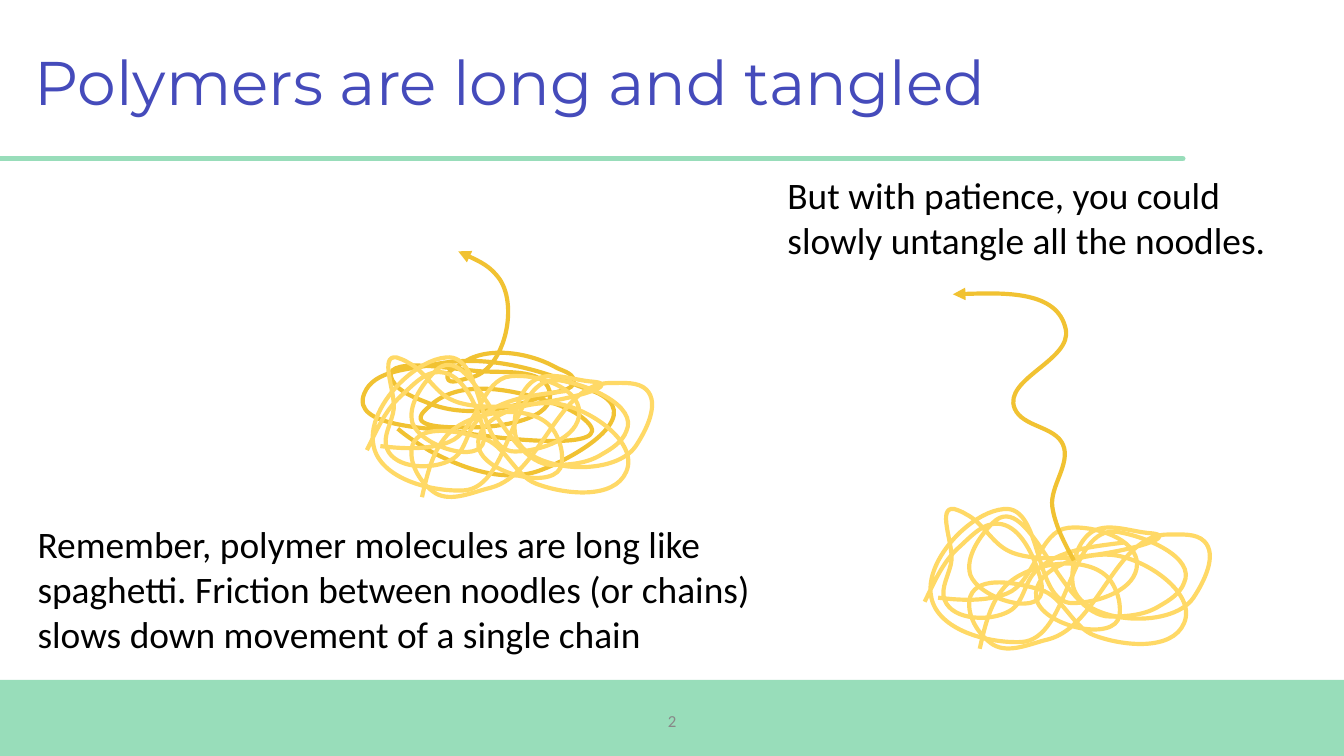
from itertools import pairwise

from lxml.etree import SubElement
from pptx import Presentation
from pptx.dml.color import RGBColor
from pptx.enum.shapes import MSO_CONNECTOR as Connector, MSO_SHAPE as Shape
from pptx.enum.text import MSO_ANCHOR as Anchor, MSO_AUTO_SIZE as AutoSize, PP_ALIGN as Align
from pptx.oxml.ns import qn
from pptx.util import Pt

GREEN = RGBColor(0x98, 0xDD, 0xBA)
INDIGO = RGBColor(0x45, 0x4B, 0xBB)
GREY = RGBColor(0x88, 0x88, 0x88)
BLACK = RGBColor(0x00, 0x00, 0x00)
GOLD = RGBColor(0xF1, 0xC2, 0x32)
PALE_GOLD = RGBColor(0xFF, 0xD9, 0x66)

PAGE_WIDTH, PAGE_HEIGHT = 720, 405
BAND_TOP = 364.3
RULE_Y = 85
TEXT_LEFT = 13
SECOND_PILE_SHIFT = (298.8, 81.2)
SMALL_MARGINS = (5.4, 2.7)

# Each strand lists only the knots it passes through, in curve units.
CURVE_UNIT = Pt(0.72)
TANGLED_CHAIN = [
    (341, 187), (372, 208), (350, 281), (333, 281), (343, 271), (413, 273), (427, 283),
    (406, 294), (319, 300), (292, 283), (354, 276), (409, 291), (351, 318), (314, 308),
    (321, 301), (403, 297), (437, 314), (345, 322), (271, 293), (324, 271), (430, 287),
    (453, 298), (399, 351), (319, 335), (296, 319),
]
FREED_CHAIN = [(709, 219), (793, 245), (755, 304), (791, 331), (783, 377), (799, 417)]
LEFT_NOODLE = [
    (273, 335), (298, 295), (328, 277), (356, 308), (360, 328), (307, 315), (324, 276),
    (411, 346), (448, 338), (466, 321), (416, 283), (345, 365), (278, 332), (302, 281),
    (332, 266), (383, 336), (431, 307), (380, 280), (334, 329), (283, 332),
]
RIGHT_NOODLE = [
    (314, 370), (338, 319), (413, 322), (418, 345), (356, 332), (410, 300), (466, 351),
    (399, 360), (359, 326), (307, 331), (324, 367), (365, 363), (455, 285), (481, 290),
    (473, 332), (383, 321), (396, 284), (441, 284), (335, 297), (304, 270), (295, 266),
    (293, 304), (288, 334), (336, 342), (356, 312), (421, 291),
]


def unit(vector):
    return vector / abs(vector)


def knot_directions(knots):
    """Give the heading at each knot; knots and headings are complex numbers.

    An inner knot follows the circle through it and its two neighbours.
    An end knot bends half as much, away from its neighbour's heading.
    """
    chords = [end - start for start, end in pairwise(knots)]
    inner = [unit(unit(before) * abs(after) + unit(after) * abs(before))
             for before, after in pairwise(chords)]
    first = unit(3 * unit(chords[0]) - inner[0])
    last = unit(3 * unit(chords[-1]) - inner[-1])
    return [first, *inner, last]


def smooth_points(knots):
    """Add two Bezier handles, a third of the chord long, between knots."""
    knots = [complex(x, y) for x, y in knots]
    points = [knots[0]]
    stops = zip(knots, knot_directions(knots))
    for (start, heading_out), (end, heading_in) in pairwise(stops):
        reach = abs(end - start) / 3
        points += [start + reach * heading_out, end - reach * heading_in, end]
    return [(point.real, point.imag) for point in points]


def bend_segments(curve):
    """Join each three straight segments of a freeform into one Bezier."""
    outline = next(curve.element.iter(qn("a:path")))
    segments = outline.findall(qn("a:lnTo"))
    for start in range(0, len(segments), 3):
        bezier = SubElement(outline, qn("a:cubicBezTo"))
        for segment in segments[start:start + 3]:
            bezier.append(segment[0])
            outline.remove(segment)


def add_strand(page, knots, color, *, shift=(0, 0), arrow=False):
    """Draw a smooth open curve, with an optional arrowhead at its start."""
    start, *rest = smooth_points(knots)
    builder = page.shapes.build_freeform(*start, scale=CURVE_UNIT)
    builder.add_line_segments(rest, close=False)
    strand = builder.convert_to_shape(Pt(shift[0]), Pt(shift[1]))
    bend_segments(strand)
    strand.shadow.inherit = False
    strand.fill.background()
    strand.line.color.rgb = color
    strand.line.width = Pt(2.25)
    if arrow:
        line = strand.element.spPr.find(qn("a:ln"))
        SubElement(line, qn("a:headEnd"), type="triangle")


def add_noodle_pile(page, shift=(0, 0)):
    for noodle in (LEFT_NOODLE, RIGHT_NOODLE):
        add_strand(page, noodle, PALE_GOLD, shift=shift)


def add_text(page, text, left, top, width, height, *, size=20, color=BLACK, font="Calibri",
             align=Align.LEFT, anchor=Anchor.TOP, margins=(7.2, 7.2),
             line_spacing=None, grow=False):
    box = page.shapes.add_textbox(Pt(left), Pt(top), Pt(width), Pt(height))
    frame = box.text_frame
    frame.word_wrap = True
    frame.auto_size = AutoSize.SHAPE_TO_FIT_TEXT if grow else AutoSize.NONE
    frame.vertical_anchor = anchor
    frame.margin_left = frame.margin_right = Pt(margins[0])
    frame.margin_top = frame.margin_bottom = Pt(margins[1])
    para = frame.paragraphs[0]
    para.alignment = align
    para.line_spacing = line_spacing
    span = para.add_run()
    span.text = text
    span.font.name = font
    span.font.size = Pt(size)
    span.font.color.rgb = color


def add_footer_band(page):
    band = page.shapes.add_shape(Shape.RECTANGLE, Pt(0), Pt(BAND_TOP),
                                 Pt(PAGE_WIDTH), Pt(PAGE_HEIGHT - BAND_TOP))
    band.shadow.inherit = False
    band.fill.solid()
    band.fill.fore_color.rgb = GREEN
    band.line.fill.background()


def add_title_rule(page):
    rule = page.shapes.add_connector(Connector.STRAIGHT, Pt(0), Pt(RULE_Y),
                                     Pt(633.6), Pt(RULE_Y))
    rule.line.color.rgb = GREEN
    rule.line.width = Pt(3)
    properties = rule.element.spPr
    properties.find(qn("a:ln")).set("cap", "rnd")
    SubElement(properties, qn("a:effectLst"))


def main():
    deck = Presentation()
    deck.slide_width, deck.slide_height = Pt(PAGE_WIDTH), Pt(PAGE_HEIGHT)
    page = deck.slides.add_slide(deck.slide_layouts[6])

    add_footer_band(page)
    add_text(page, "2", 279, 375.4, 162, 21.6, size=9, color=GREY,
             align=Align.CENTER, anchor=Anchor.MIDDLE, margins=SMALL_MARGINS)
    add_text(page, "Polymers are long and tangled", TEXT_LEFT, 6.5, 620.6, 78.3,
             size=33, color=INDIGO, font="Montserrat", anchor=Anchor.MIDDLE,
             margins=SMALL_MARGINS, line_spacing=0.9)
    add_title_rule(page)

    add_strand(page, TANGLED_CHAIN, GOLD, arrow=True)
    add_noodle_pile(page)
    add_text(page, "Remember, polymer molecules are long like spaghetti. Friction "
             "between noodles (or chains) slows down movement of a single chain",
             TEXT_LEFT, 272.2, 401.8, 87.1, grow=True)

    add_text(page, "But with patience, you could slowly untangle all the noodles.",
             414.8, RULE_Y, 299.5, 63.4, grow=True)
    add_noodle_pile(page, SECOND_PILE_SHIFT)
    add_strand(page, FREED_CHAIN, GOLD, arrow=True)

    deck.save("out.pptx")


if __name__ == "__main__":
    main()
